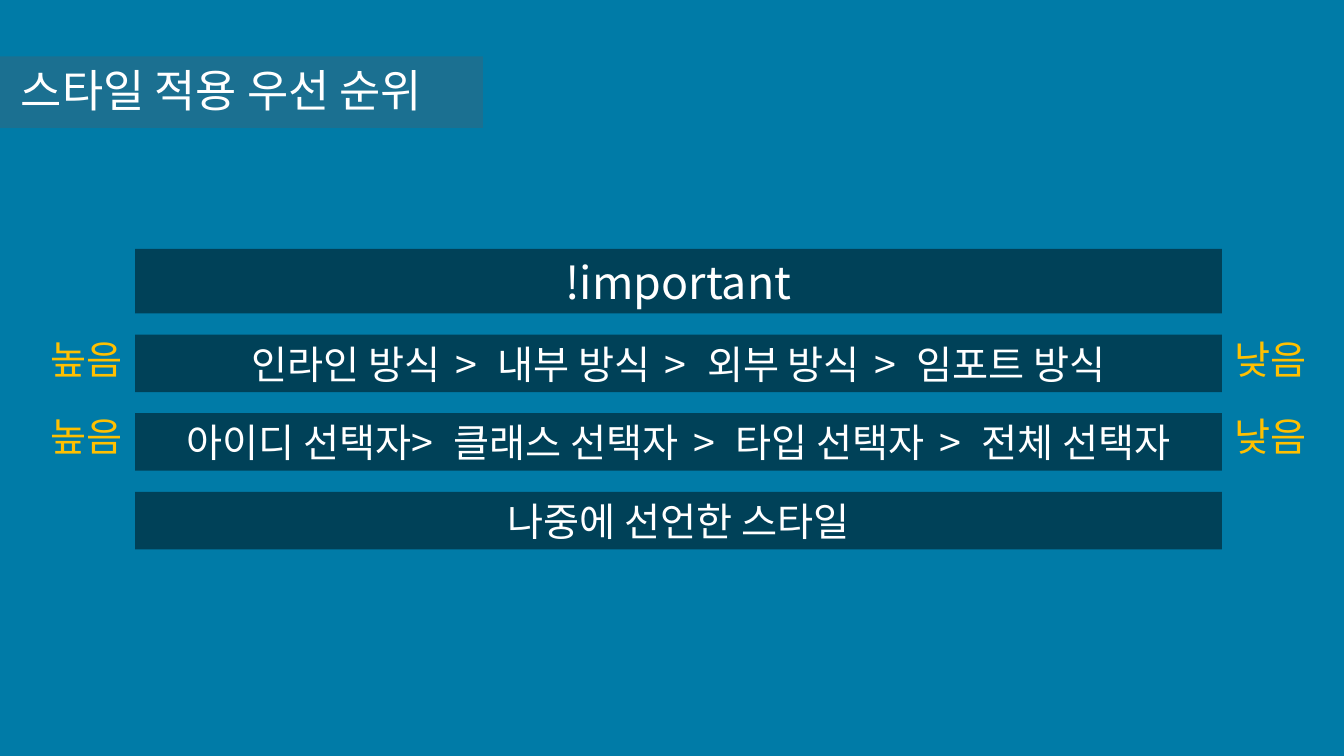
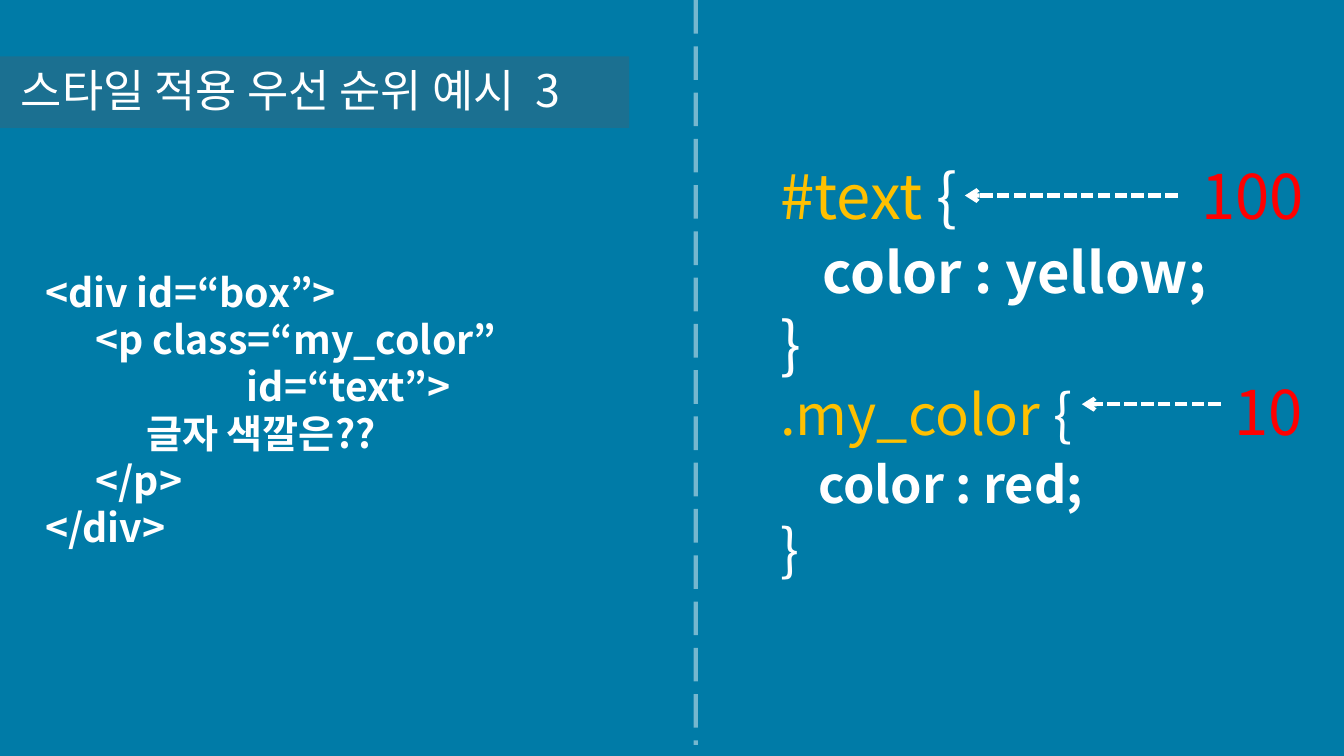
import pptx
import pptx.util
import pptx.dml.color
import pptx.enum.dml
import pptx.enum.shapes
import pptx.enum.text
import pptx.oxml
import pptx.oxml.ns
from pptx.util import Inches

FONT = "Noto Sans CJK KR"
BLUE, GREY, BLACK, WHITE = "007BA7", "615758", "000000", "FFFFFF"
AMBER, RED = "FFC000", "FF0000"
DASH = pptx.enum.dml.MSO_LINE
CENTER = pptx.enum.text.PP_ALIGN.CENTER
NS = pptx.oxml.ns.nsdecls("a")
TEXT_SHADOW = (
    f'<a:effectLst {NS}><a:outerShdw blurRad="38100" dist="38100" dir="2700000">'
    '<a:srgbClr val="000000"><a:alpha val="43000"/></a:srgbClr>'
    '</a:outerShdw></a:effectLst>')


def rgb(value):
    return pptx.dml.color.RGBColor.from_string(value)


def add_xml(parent, xml):
    parent.append(pptx.oxml.parse_xml(xml))


def set_opacity(element, percent):
    color = next(element.iter(pptx.oxml.ns.qn("a:srgbClr")))
    add_xml(color, f'<a:alpha {NS} val="{percent * 1000}"/>')


def add_run(p, text, size=28, color=WHITE, bold=False, shadow=False, spacing=0):
    """Add one formatted run; spacing is extra points after each letter."""
    r = p.add_run()
    r.text = text
    r.font.size = pptx.util.Pt(size)
    r.font.bold = bold
    r.font.color.rgb = rgb(color)
    props = r.font._element
    if spacing:
        props.set("spc", str(round(spacing * 100)))
    if shadow:
        add_xml(props, TEXT_SHADOW)
    r.font.name = FONT
    add_xml(props, f'<a:ea {NS} typeface="{FONT}"/>')


class Deck:
    """The shared style and the slide being built."""

    def __init__(self):
        self.prs = pptx.Presentation()
        self.prs.slide_width = Inches(13.33)
        self.prs.slide_height = Inches(7.5)
        self.s = None

    def slide(self, title, band_width):
        self.s = self.prs.slides.add_slide(self.prs.slide_layouts[6])
        fill = self.s.background.fill
        fill.solid()
        fill.fore_color.rgb = rgb(BLUE)
        self.band(-0.99, 0.56, band_width, 0.71, GREY, 28)
        self.text(0.11, 0.57, 7.87, 0.64, [title], size=32, shadow=True)

    def fill_text(self, tf, lines, align=None, **style):
        """Each line is a list of (text, style changes) pairs or a plain string."""
        for i, line in enumerate(lines):
            p = tf.paragraphs[0] if i == 0 else tf.add_paragraph()
            p.alignment = align
            for text, changes in [(line, {})] if isinstance(line, str) else line:
                add_run(p, text, **{**style, **changes})

    def text(self, x, y, w, h, lines, wrap=True, **style):
        sp = self.s.shapes.add_textbox(Inches(x), Inches(y), Inches(w), Inches(h))
        sp.text_frame.word_wrap = wrap
        self.fill_text(sp.text_frame, lines, **style)
        return sp.text_frame

    def band(self, x, y, w, h, color, opacity, lines=(), **style):
        sp = self.s.shapes.add_shape(
            pptx.enum.shapes.MSO_SHAPE.RECTANGLE,
            Inches(x), Inches(y), Inches(w), Inches(h))
        sp.shadow.inherit = False
        sp.line.fill.background()
        sp.fill.solid()
        sp.fill.fore_color.rgb = rgb(color)
        set_opacity(sp._element.spPr, opacity)
        sp.text_frame.vertical_anchor = pptx.enum.text.MSO_ANCHOR.MIDDLE
        self.fill_text(sp.text_frame, lines, align=CENTER, **style)

    def line(self, x1, y1, x2, y2, dash, opacity=100, arrow=False):
        sp = self.s.shapes.add_connector(
            pptx.enum.shapes.MSO_CONNECTOR.STRAIGHT,
            Inches(x1), Inches(y1), Inches(x2), Inches(y2))
        sp.line.color.rgb = rgb(WHITE)
        sp.line.width = pptx.util.Pt(3)
        sp.line.dash_style = dash
        if opacity < 100:
            set_opacity(sp._element.spPr, opacity)
        if arrow:
            add_xml(sp.line._get_or_add_ln(), f'<a:tailEnd {NS} type="arrow"/>')
        add_xml(sp._element.spPr, f'<a:effectLst {NS}/>')


def ranking(*names, first=" > "):
    """Join names with widely set > signs."""
    line = [(names[0], {})]
    for i, name in enumerate(names[1:]):
        line += [(first if i == 0 else " > ", {"spacing": 4.2}), (name, {})]
    return line


def priority_slide(deck):
    deck.slide("스타일 적용 우선 순위", 5.78)

    # Priority bands, highest first
    rows = [
        ("!important", 32, 0.64),
        (ranking("인라인 방식", "내부 방식", "외부 방식", "임포트 방식"), 28, 0.57),
        (ranking("아이디 선택자", "클래스 선택자", "타입 선택자", "전체 선택자",
                 first="> "), 28, 0.57),
        ("나중에 선언한 스타일", 28, 0.57),
    ]
    y = 2.47
    for line, size, height in rows:
        deck.band(1.34, y, 10.78, height, BLACK, 47, [line], size=size)
        y += height + 0.21

    # High and low labels
    for y in (3.28, 4.04):
        for x, label in ((0.36, "높음"), (12.11, "낮음")):
            deck.text(x, y, 0.99, 0.57, [label], wrap=False,
                      align=CENTER, color=AMBER)


def css_rule(selector, declaration, size):
    """Three lines of a CSS rule."""
    big = {"size": size}
    return [
        [(selector + " ", {**big, "color": AMBER}), ("{", big)],
        [("   ", {**big, "bold": True}),
         (declaration, {"size": size - 4, "bold": True})],
        [("}", big)],
    ]


def example_slide(deck):
    deck.slide([("스타일 적용 우선 순위 예시", {}), (" ", {"spacing": 7}), ("3", {})],
               7.23)

    # CSS rules
    rules = (css_rule("#text", "color : yellow;", 44)
             + css_rule(".my_color", "color : red;", 40))
    deck.text(7.64, 1.52, 5.69, 4.34, rules, shadow=True)
    deck.line(6.9, 0, 6.9, 7.39, DASH.LONG_DASH, opacity=45)

    # HTML code
    code = ["<div id=“box”>", "<p class=“my_color”", "\t\t\tid=“text”>",
            "\t글자 색깔은??", "</p>", "</div>"]
    tf = deck.text(0.35, 2.61, 7.79, 2.93, code, bold=True)
    for p in tf.paragraphs[1:-1]:
        p.level = 1
        props = p._p.get_or_add_pPr()
        props.set("marL", str(Inches(0.5)))
        props.set("indent", "0")

    # Scores and their arrows
    for score, x, y in (("100", 11.68, 1.52), ("10", 11.84, 3.66)):
        deck.text(x, y, 1.49, 0.84, [score], align=CENTER,
                  size=44, color=RED, shadow=True)
    for start, end, y in ((11.68, 9.57, 1.94), (12.11, 10.73, 4.01)):
        deck.line(start, y, end, y, DASH.SQUARE_DOT, arrow=True)


def main():
    deck = Deck()
    priority_slide(deck)
    example_slide(deck)
    deck.prs.save("out.pptx")


if __name__ == "__main__":
    main()
